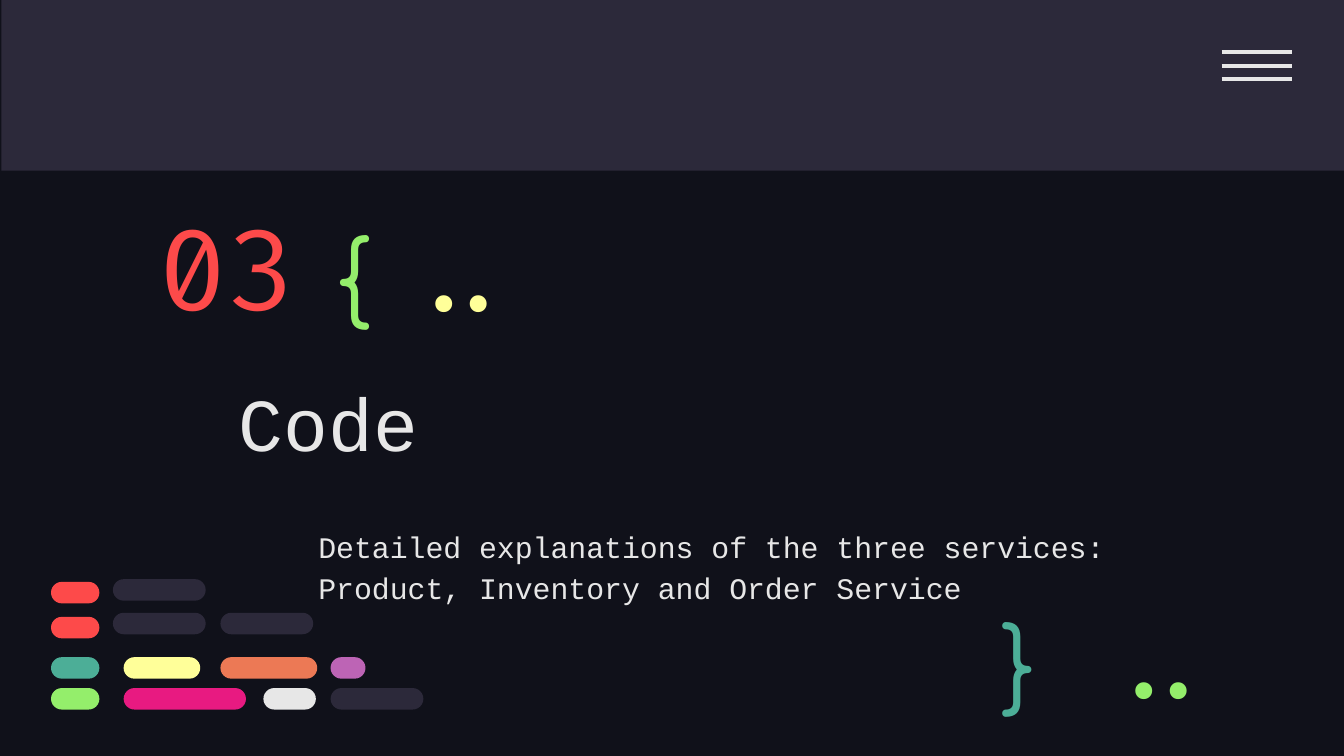
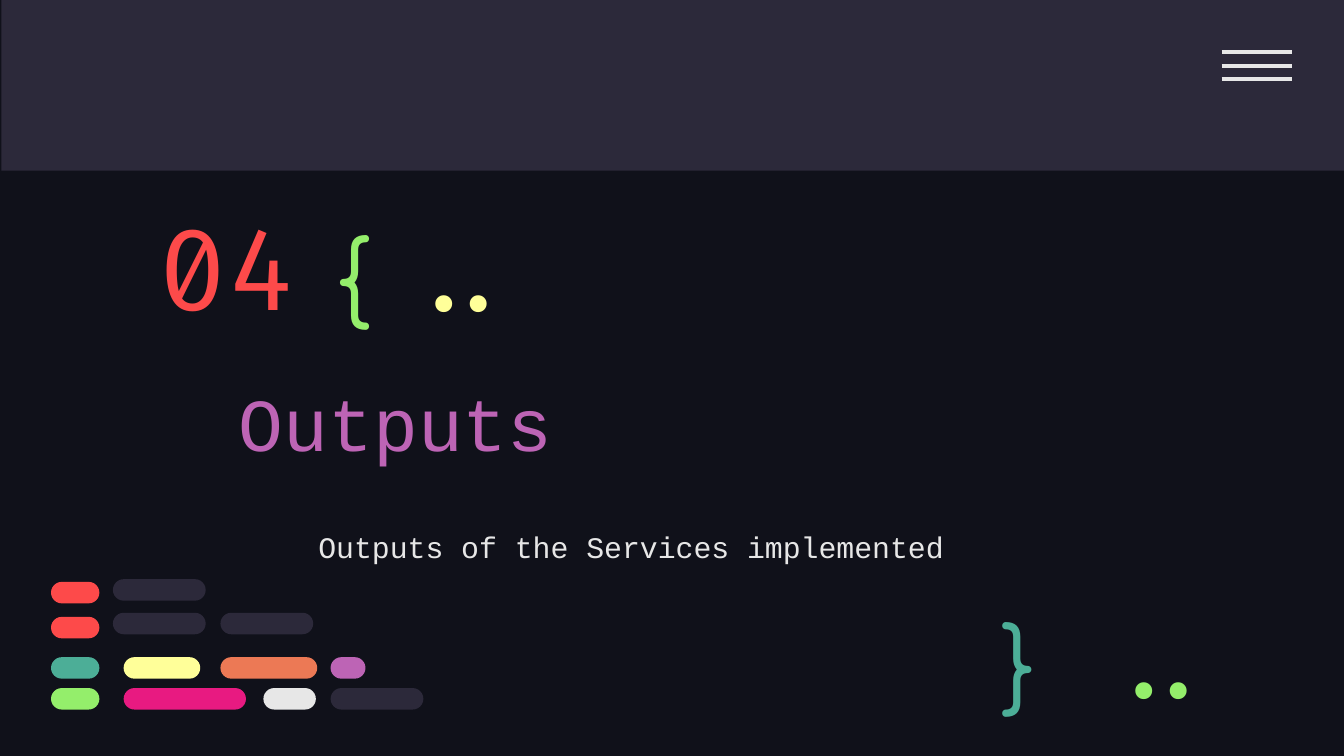
import pptx
import pptx.util
import pptx.dml.color
import pptx.enum.shapes
import pptx.enum.text
import pptx.oxml

Inches = pptx.util.Inches
RGBColor = pptx.dml.color.RGBColor
MSO_SHAPE = pptx.enum.shapes.MSO_SHAPE
MSO_ANCHOR = pptx.enum.text.MSO_ANCHOR
PP_ALIGN = pptx.enum.text.PP_ALIGN

NIGHT = RGBColor(0x10, 0x11, 0x1A)
SLATE = RGBColor(0x2C, 0x29, 0x3A)
WHITE = RGBColor(0xE7, 0xE7, 0xE7)
RED = RGBColor(0xFD, 0x4A, 0x4A)
GREEN = RGBColor(0x94, 0xEE, 0x6B)
TEAL = RGBColor(0x4C, 0xAE, 0x97)
YELLOW = RGBColor(0xFF, 0xFF, 0x99)
ORANGE = RGBColor(0xEC, 0x79, 0x55)
PURPLE = RGBColor(0xBD, 0x64, 0xB5)
PINK = RGBColor(0xE8, 0x1A, 0x81)

MONO = "Courier New"
CODE = "Fira Code"
ROUND = "Comfortaa"

PILL_ROWS = [
    (4.33, [(0.38, 0.36, RED)]),
    (4.59, [(0.38, 0.36, RED)]),
    (4.89, [(0.38, 0.36, TEAL), (0.92, 0.57, YELLOW),
            (1.64, 0.72, ORANGE), (2.46, 0.26, PURPLE)]),
    (5.12, [(0.38, 0.36, GREEN), (0.92, 0.91, PINK),
            (1.96, 0.39, WHITE), (2.46, 0.69, SLATE)]),
    (4.56, [(0.84, 0.69, SLATE), (1.64, 0.69, SLATE)]),
    (4.31, [(0.84, 0.69, SLATE)]),
]

SECTIONS = [
    ("03", "Code", WHITE,
     "Detailed explanations of the three services: "
     "Product, Inventory and Order Service"),
    ("04", "Outputs", PURPLE, "Outputs of the Services implemented"),
]


class Deck:
    def __init__(self):
        self.prs = pptx.Presentation()
        self.prs.slide_width = Inches(10)
        self.prs.slide_height = Inches(5.625)
        self.s = None

    def new_slide(self):
        self.s = self.prs.slides.add_slide(self.prs.slide_layouts[6])
        fill = self.s.background.fill
        fill.solid()
        fill.fore_color.rgb = NIGHT

    def shape(self, kind, x, y, w, h, color, shapes=None):
        shapes = shapes or self.s.shapes
        sp = shapes.add_shape(kind, Inches(x), Inches(y), Inches(w), Inches(h))
        sp.shadow.inherit = False
        sp.fill.solid()
        sp.fill.fore_color.rgb = color
        sp.line.fill.background()
        return sp

    def text(self, text, x, y, w, h, size, font, color,
             anchor=MSO_ANCHOR.TOP, align=PP_ALIGN.LEFT, spacing=1.0):
        sp = self.s.shapes.add_textbox(Inches(x), Inches(y), Inches(w), Inches(h))
        tf = sp.text_frame
        tf.word_wrap = True
        tf.vertical_anchor = anchor
        tf.margin_left = tf.margin_right = Inches(0.1)
        tf.margin_top = tf.margin_bottom = Inches(0.1)
        tf.text = text
        p = tf.paragraphs[0]
        p.alignment = align
        p.line_spacing = spacing
        r = p.runs[0]
        r.font.size = pptx.util.Pt(size)
        r.font.name = font
        r.font.color.rgb = color

    def dots(self, x, y, color):
        self.text("..", x, y, 1.07, 0.6, 50, CODE, color,
                  MSO_ANCHOR.MIDDLE, PP_ALIGN.RIGHT)

    def menu_icon(self):
        group = self.s.shapes.add_group_shape()
        for i in range(3):
            y = Inches(0.39 + 0.1 * i)
            line = group.shapes.add_connector(
                pptx.enum.shapes.MSO_CONNECTOR.STRAIGHT,
                Inches(9.09), y, Inches(9.61), y)
            line.line.color.rgb = WHITE
            line.line.width = pptx.util.Pt(2.25)
            sp_pr = line._element.spPr
            sp_pr.append(pptx.oxml.parse_xml(
                '<a:effectLst xmlns:a="http://schemas.openxmlformats.org/'
                'drawingml/2006/main"/>'))

    def pills(self):
        group = self.s.shapes.add_group_shape()
        for y, row in PILL_ROWS:
            for x, w, color in row:
                sp = self.shape(MSO_SHAPE.ROUNDED_RECTANGLE, x, y, w, 0.16,
                                color, group.shapes)
                sp.adjustments[0] = 0.5

    def section(self, number, title, title_color, subtitle):
        self.new_slide()
        self.shape(MSO_SHAPE.RECTANGLE, 0.01, 0, 10, 1.27, SLATE)
        self.menu_icon()
        self.text(title, 1.68, 2.48, 7.26, 1.31, 40, MONO, title_color,
                  MSO_ANCHOR.MIDDLE)
        self.text(number, 1.08, 1.48, 1.81, 1, 60, CODE, RED, MSO_ANCHOR.MIDDLE)
        self.text(subtitle, 2.27, 3.79, 6.61, 0.31, 16, MONO, WHITE, spacing=1.15)
        self.text("{", 2.4, 1.5, 0.77, 0.95, 50, ROUND, GREEN)
        self.text("}", 7.35, 4.38, 0.57, 0.83, 50, ROUND, TEAL)
        self.dots(8.1, 4.62, GREEN)
        self.dots(2.89, 1.74, YELLOW)
        self.pills()


def main():
    deck = Deck()
    for section in SECTIONS:
        deck.section(*section)
    deck.prs.save("out.pptx")


if __name__ == "__main__":
    main()
